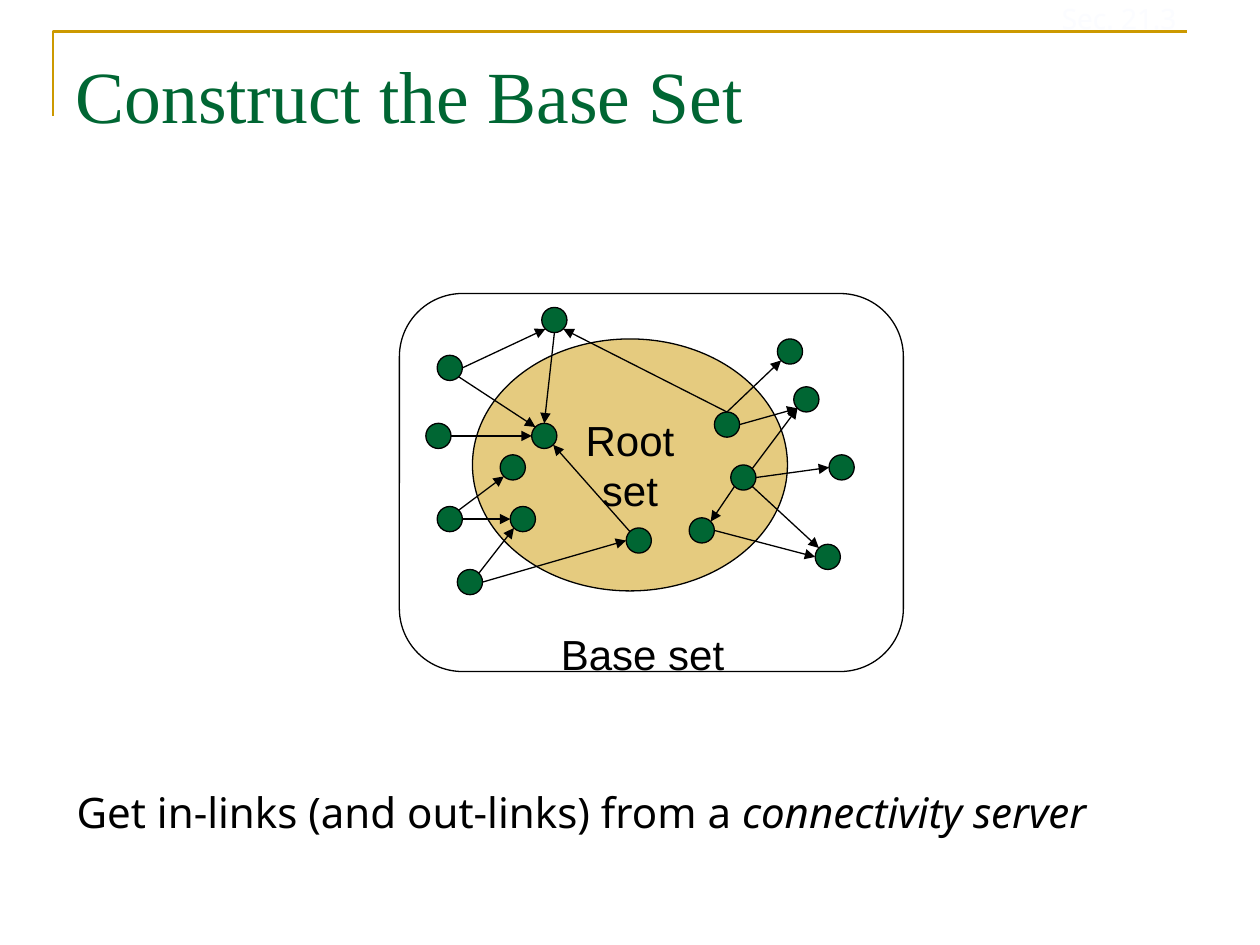
from math import sqrt

from lxml.etree import SubElement
from pptx import Presentation
from pptx.dml.color import RGBColor
from pptx.enum.shapes import MSO_CONNECTOR, MSO_SHAPE
from pptx.enum.text import MSO_ANCHOR, MSO_AUTO_SIZE, PP_ALIGN
from pptx.oxml.ns import qn
from pptx.util import Inches, Pt

COLORS = {"green": "006633", "gold": "CC9900", "ink": "000000", "pale": "FBFCFF"}
COLUMNS, ROWS = 100, 75
RADIUS = 1
DIAGONAL = RADIUS / sqrt(2)

COMPASS = {
    "N": (0, -RADIUS), "S": (0, RADIUS), "W": (-RADIUS, 0), "E": (RADIUS, 0),
    "NW": (-DIAGONAL, -DIAGONAL), "NE": (DIAGONAL, -DIAGONAL),
    "SW": (-DIAGONAL, DIAGONAL), "SE": (DIAGONAL, DIAGONAL),
}

PAGES = {
    "top": (44, 25.4), "west mid": (34.8, 34.6), "west top": (35.7, 29.2),
    "east low": (65.7, 44.2), "east mid": (66.8, 37.1),
    "east high": (64, 31.7), "east top": (62.7, 27.9),
    "west low": (35.7, 41.2), "south": (37.3, 46.2),
    "root S": (50.7, 42.9), "root SE": (55.7, 42.1), "root E": (59, 37.9),
    "root NE": (57.7, 33.7), "root NW": (43.2, 34.6),
    "root SW": (41.5, 41.2), "root W": (40.7, 37.1),
}

LINKS = [
    ("top", "S", "root NW", "N"),
    ("root NE", "N", "top", "SE"),
    ("root NE", "N", "east top", "SW"),
    ("root NE", "E", "east high", "SW"),
    ("root E", "E", "east mid", "W"),
    ("root E", "SE", "east low", "NW"),
    ("root E", "SW", "root SE", "NE"),
    ("root SE", "E", "east low", "W"),
    ("root E", "NE", "east high", "SW"),
    ("south", "E", "root S", "W"),
    ("south", "NE", "root SW", "SW"),
    ("west low", "E", "root SW", "W"),
    ("west low", "NE", "root W", "SW"),
    ("root S", "NW", "root NW", "SE"),
    ("west mid", "E", "root NW", "W"),
    ("west top", "E", "top", "SW"),
    ("west top", "SE", "root NW", "NW"),
]


class Board:
    def __init__(self, deck):
        self.slide = deck.slides.add_slide(deck.slide_layouts[5])
        self.shapes = self.slide.shapes
        self.column = deck.slide_width / COLUMNS
        self.row = deck.slide_height / ROWS

    def place(self, x, y):
        return round(x * self.column), round(y * self.row)

    def color(self, name):
        return RGBColor.from_string(COLORS[name])

    def outline(self, item, color="ink", width=0.75):
        item.line.color.rgb = self.color(color)
        item.line.width = Pt(width)

    def label(self, item, paragraphs, font="Arial", size=24, color="ink",
              align=PP_ALIGN.CENTER, anchor=MSO_ANCHOR.MIDDLE, wrap=False):
        frame = item.text_frame
        settings = {"word_wrap": wrap, "vertical_anchor": anchor,
                    "auto_size": MSO_AUTO_SIZE.NONE}
        for name, value in settings.items():
            setattr(frame, name, value)
        for index, runs in enumerate(paragraphs):
            paragraph = frame.add_paragraph() if index else frame.paragraphs[0]
            paragraph.alignment = align
            for text, italic in runs:
                run = paragraph.add_run()
                run.text = text
                look = {"name": font, "size": Pt(size), "italic": italic}
                for name, value in look.items():
                    setattr(run.font, name, value)
                run.font.color.rgb = self.color(color)

    def title(self, text, left, top, width, height):
        heading = self.shapes.title
        heading.left, heading.top = self.place(left, top)
        heading.width, heading.height = self.place(width, height)
        self.label(heading, [[(text, None)]], "Times New Roman", 42, "green",
                   PP_ALIGN.LEFT, MSO_ANCHOR.BOTTOM, True)

    def text(self, runs, left, top, width, height, **style):
        box = self.shapes.add_textbox(*self.place(left, top), *self.place(width, height))
        self.label(box, [runs], **style)

    def shape(self, kind, left, top, width, height, fill=None, alpha=None):
        item = self.shapes.add_shape(kind, *self.place(left, top), *self.place(width, height))
        item.shadow.inherit = False
        self.outline(item)
        if fill:
            item.fill.solid()
            item.fill.fore_color.rgb = self.color(fill)
        else:
            item.fill.background()
        if alpha:
            tint = item._element.spPr.find(qn("a:solidFill")).find(qn("a:srgbClr"))
            SubElement(tint, qn("a:alpha"), val=str(alpha * 1000))
        return item

    def page(self, x, y):
        self.shape(MSO_SHAPE.OVAL, x - RADIUS, y - RADIUS, 2 * RADIUS, 2 * RADIUS, "green")

    def arrow(self, start, end):
        link = self.shapes.add_connector(
            MSO_CONNECTOR.STRAIGHT, *self.place(*start), *self.place(*end))
        self.outline(link)
        SubElement(link._element.spPr.find(qn("a:ln")), qn("a:tailEnd"), type="triangle")
        SubElement(link._element.spPr, qn("a:effectLst"))

    def corner(self, *points):
        first, *rest = [self.place(*point) for point in points]
        builder = self.shapes.build_freeform(*first)
        builder.add_line_segments(rest, close=False)
        rule = builder.convert_to_shape()
        rule.shadow.inherit = False
        rule.fill.background()
        self.outline(rule, "gold", 1.5)


def rim(page, side):
    return tuple(center + shift for center, shift in zip(PAGES[page], COMPASS[side]))


def main():
    deck = Presentation()
    deck.slide_width, deck.slide_height = Inches(10), Inches(7.5)
    board = Board(deck)

    board.corner((4.2, 9.2), (4.2, 2.5), (94.2, 2.5))
    board.title("Construct the Base Set", 5, -1, 90, 12.5)

    root = board.shape(MSO_SHAPE.FLOWCHART_CONNECTOR, 37.5, 26.9, 25, 20, "gold", 50)
    board.label(root, [[("Root", None)], [("set", None)]])
    base = board.shape(MSO_SHAPE.ROUNDED_RECTANGLE, 31.7, 23.3, 40, 30)
    base.adjustments[0] = 0.167

    for center in PAGES.values():
        board.page(*center)
    for source, exit_side, target, entry_side in LINKS:
        board.arrow(rim(source, exit_side), rim(target, entry_side))

    board.text([("Base set", None)], 43.5, 49.4, 15, 5)
    board.text([("Sec. 21.3", None)], 83.3, -0.4, 12, 3.7,
               font="Noto Sans", size=16, color="pale", align=PP_ALIGN.LEFT)
    board.text([("Get in-links (and out-links) from a ", None), ("connectivity server", True)],
               5.1, 61.9, 90.8, 5, font="Noto Sans", align=PP_ALIGN.LEFT,
               anchor=MSO_ANCHOR.TOP, wrap=True)
    deck.save("out.pptx")


if __name__ == "__main__":
    main()
